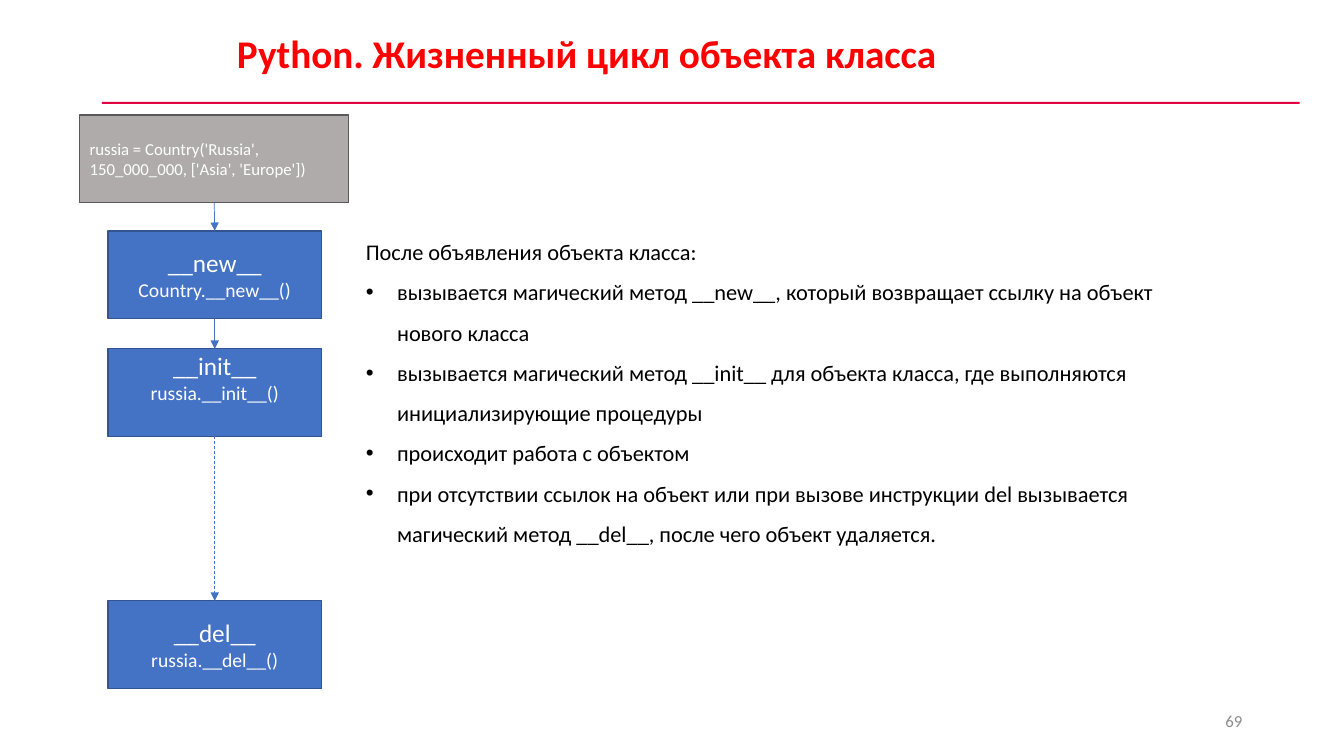
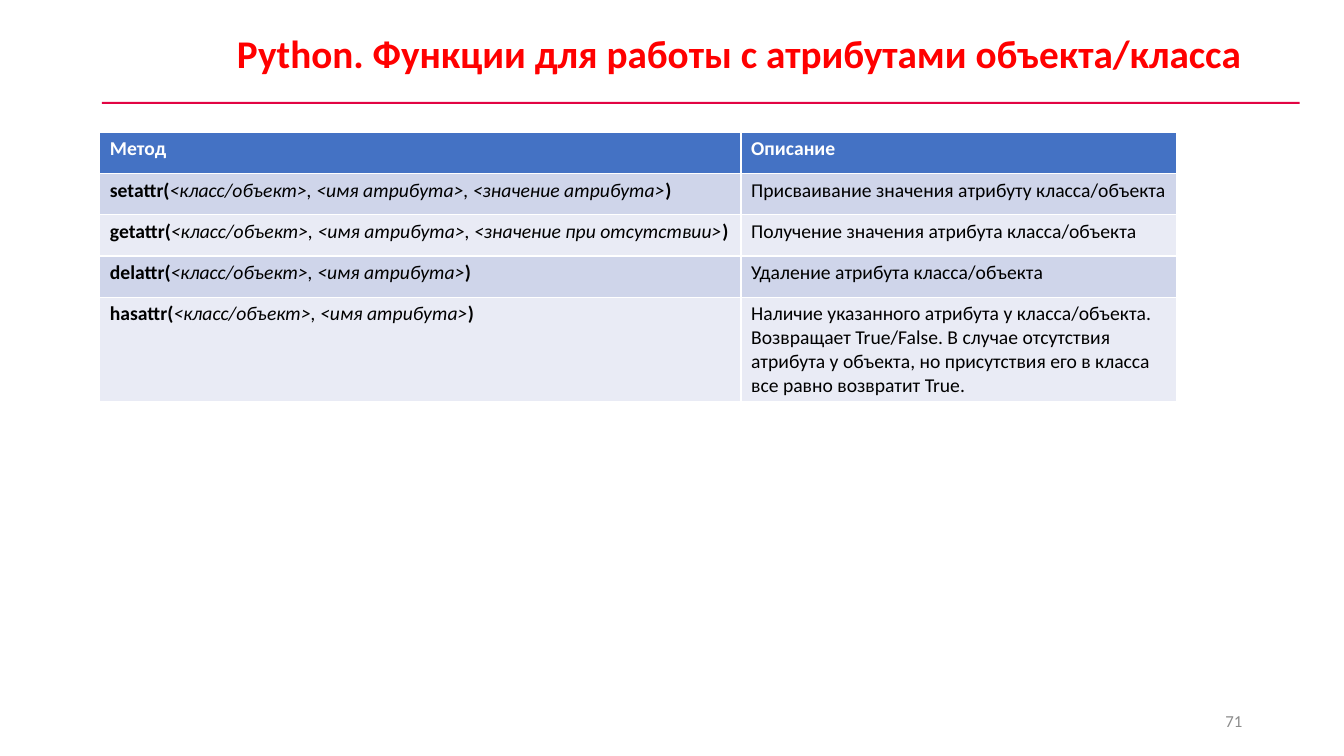
"""Build two lecture slides on the Python object life cycle and attribute functions."""
from dataclasses import dataclass

from lxml.etree import SubElement
from pptx import Presentation
from pptx.dml.color import RGBColor as Rgb
from pptx.enum.dml import MSO_LINE_DASH_STYLE as Dash
from pptx.enum.shapes import MSO_CONNECTOR as Connector, MSO_SHAPE as Shape
from pptx.enum.text import MSO_ANCHOR as Anchor, MSO_AUTO_SIZE as AutoSize, PP_ALIGN as Align
from pptx.oxml.ns import qn
from pptx.util import Pt

PX = 9144


@dataclass(frozen=True)
class Theme:
    """Colours, font and type sizes shared by the slides."""
    font: str = "Calibri"
    title: str = "FF0000"
    rule: str = "E20443"
    number: str = "8C8C8C"
    blue: str = "4472C4"
    blue_edge: str = "325491"
    grey: str = "AFABAB"
    grey_edge: str = "595959"
    light: str = "FFFFFF"
    dark: str = "000000"
    bands: tuple = ("CFD5EA", "E9EBF5")
    title_size: int = 28
    method_size: int = 18
    body_size: int = 16
    table_size: int = 14
    small_size: int = 12


THEME = Theme()
SLIDE_SIZE = (1333, 750)
TITLE_BOX = (225, 24, 1071, 57)
RULE_BOX = (101, 101, 1188, 2)
NUMBER_BOX = (942, 695, 300, 40)

LIFE_TITLE = "Python. Жизненный цикл объекта класса"
CREATION = "russia = Country('Russia', 150_000_000, ['Asia', 'Europe'])"
CREATION_BOX = (79, 114, 267, 87)
STEP_LEFT, STEP_WIDTH, STEP_HEIGHT = 107, 212, 87
STEPS = [
    ("__new__", "Country.__new__()", 229, Anchor.MIDDLE),
    ("__init__", "russia.__init__()", 346, Anchor.TOP),
    ("__del__", "russia.__del__()", 596, Anchor.MIDDLE),
]
NOTES_BOX = (353, 218, 861, 369)
NOTES_LEAD = "После объявления объекта класса:"
NOTES = [
    "вызывается магический метод __new__, который возвращает ссылку на объект нового класса",
    "вызывается магический метод __init__ для объекта класса, где выполняются инициализирующие процедуры",
    "происходит работа с объектом",
    "при отсутствии ссылок на объект или при вызове инструкции del вызывается магический метод __del__, "
    "после чего объект удаляется.",
]
BULLET_INDENT = 31

TABLE_TITLE = "Python. Функции для работы с атрибутами объекта/класса"
TABLE_HEAD = ("Метод", "Описание")
TABLE_ROWS = [
    ("setattr", "<класс/объект>, <имя атрибута>, <значение атрибута>",
     "Присваивание значения атрибуту класса/объекта"),
    ("getattr", "<класс/объект>, <имя атрибута>, <значение при отсутствии>",
     "Получение значения атрибута класса/объекта"),
    ("delattr", "<класс/объект>, <имя атрибута>", "Удаление атрибута класса/объекта"),
    ("hasattr", "<класс/объект>, <имя атрибута>",
     "Наличие указанного атрибута у класса/объекта. Возвращает True/False. В случае отсутствия "
     "атрибута у объекта, но присутствия его в класса все равно возвратит True."),
]
TABLE_ORIGIN = (99, 131)
COLUMN_WIDTHS = (636, 432)
ROW_HEIGHTS = (41, 41, 41, 41, 102)


def emu(lengths):
    return [length * PX for length in lengths]


def add_span(para, text, size, color, bold=False, italic=False):
    span = para.add_run()
    span.text = text
    font = span.font
    font.name, font.size, font.bold, font.italic = THEME.font, Pt(size), bold, italic
    font.color.rgb = Rgb.from_string(color)


def paint(target, color):
    target.fill.solid()
    target.fill.fore_color.rgb = Rgb.from_string(color)


def add_box(page, place, color, edge=None):
    box = page.shapes.add_shape(Shape.RECTANGLE, *emu(place))
    box.shadow.inherit = False
    paint(box, color)
    if edge:
        box.line.color.rgb = Rgb.from_string(edge)
        box.line.width = Pt(1)
    else:
        box.line.fill.background()
    return box


def add_text_box(page, place):
    frame = page.shapes.add_textbox(*emu(place)).text_frame
    frame.word_wrap = True
    return frame


def add_arrow(page, upper, lower, dashed=False):
    arrow = page.shapes.add_connector(Connector.STRAIGHT, 0, 0, 0, 0)
    arrow.begin_connect(upper, 2)
    arrow.end_connect(lower, 0)
    arrow.line.color.rgb = Rgb.from_string(THEME.blue)
    arrow.line.width = Pt(0.5)
    if dashed:
        arrow.line.dash_style = Dash.DASH
    properties = arrow.element.spPr
    SubElement(properties.find(qn("a:ln")), qn("a:tailEnd"), type="triangle")
    SubElement(properties, qn("a:effectLst"))


def add_page(deck, title, number):
    page = deck.slides.add_slide(deck.slide_layouts[5])
    add_box(page, RULE_BOX, THEME.rule)
    heading = page.shapes.title
    heading.left, heading.top, heading.width, heading.height = emu(TITLE_BOX)
    frame = heading.text_frame
    frame.word_wrap = True
    frame.auto_size = AutoSize.NONE
    frame.vertical_anchor = Anchor.TOP
    frame.paragraphs[0].alignment = Align.LEFT
    add_span(frame.paragraphs[0], title, THEME.title_size, THEME.title, bold=True)
    footer = add_text_box(page, NUMBER_BOX)
    footer.vertical_anchor = Anchor.MIDDLE
    footer.paragraphs[0].alignment = Align.RIGHT
    add_span(footer.paragraphs[0], str(number), THEME.small_size, THEME.number)
    return page


def add_step(page, method, call, top, anchor):
    box = add_box(page, (STEP_LEFT, top, STEP_WIDTH, STEP_HEIGHT), THEME.blue, THEME.blue_edge)
    frame = box.text_frame
    frame.vertical_anchor = anchor
    if anchor == Anchor.TOP:
        frame.margin_top = 2 * PX
    first, second = frame.paragraphs[0], frame.add_paragraph()
    for para, text, size in ((first, method, THEME.method_size), (second, call, THEME.table_size)):
        para.alignment = Align.CENTER
        add_span(para, text, size, THEME.light)
    return box


def add_notes(page):
    frame = add_text_box(page, NOTES_BOX)
    lead = frame.paragraphs[0]
    lead.line_spacing = 1.5
    add_span(lead, NOTES_LEAD, THEME.body_size, THEME.dark)
    for note in NOTES:
        para = frame.add_paragraph()
        para.line_spacing = 1.5
        add_span(para, note, THEME.body_size, THEME.dark)
        properties = para._p.get_or_add_pPr()
        properties.set("marL", str(BULLET_INDENT * PX))
        properties.set("indent", str(-BULLET_INDENT * PX))
        SubElement(properties, qn("a:buFont"), typeface="Arial")
        SubElement(properties, qn("a:buChar"), char="•")


def build_life_cycle(deck):
    page = add_page(deck, LIFE_TITLE, 69)
    creation = add_box(page, CREATION_BOX, THEME.grey, THEME.grey_edge)
    creation.text_frame.vertical_anchor = Anchor.MIDDLE
    para = creation.text_frame.paragraphs[0]
    para.alignment = Align.LEFT
    add_span(para, CREATION, THEME.small_size, THEME.light)
    chain = [creation] + [add_step(page, *step) for step in STEPS]
    for upper, lower in zip(chain, chain[1:]):
        add_arrow(page, upper, lower, dashed=lower is chain[-1])
    add_notes(page)


def fill_cell(cell, color, spans):
    paint(cell, color)
    for text, ink, bold, italic in spans:
        add_span(cell.text_frame.paragraphs[0], text, THEME.table_size, ink, bold, italic)


def build_attributes(deck):
    page = add_page(deck, TABLE_TITLE, 71)
    place = (*TABLE_ORIGIN, sum(COLUMN_WIDTHS), sum(ROW_HEIGHTS))
    table = page.shapes.add_table(len(ROW_HEIGHTS), len(COLUMN_WIDTHS), *emu(place)).table
    for column, width in zip(table.columns, emu(COLUMN_WIDTHS)):
        column.width = width
    for row, height in zip(table.rows, emu(ROW_HEIGHTS)):
        row.height = height
    for index, label in enumerate(TABLE_HEAD):
        fill_cell(table.cell(0, index), THEME.blue, [(label, THEME.light, True, False)])
    for index, (function, arguments, meaning) in enumerate(TABLE_ROWS):
        band = THEME.bands[index % 2]
        signature = [
            (function + "(", THEME.dark, True, False),
            (arguments, THEME.dark, False, True),
            (")", THEME.dark, True, False),
        ]
        fill_cell(table.cell(index + 1, 0), band, signature)
        fill_cell(table.cell(index + 1, 1), band, [(meaning, THEME.dark, False, False)])


def main():
    deck = Presentation()
    deck.slide_width, deck.slide_height = emu(SLIDE_SIZE)
    build_life_cycle(deck)
    build_attributes(deck)
    deck.save("out.pptx")


if __name__ == "__main__":
    main()
